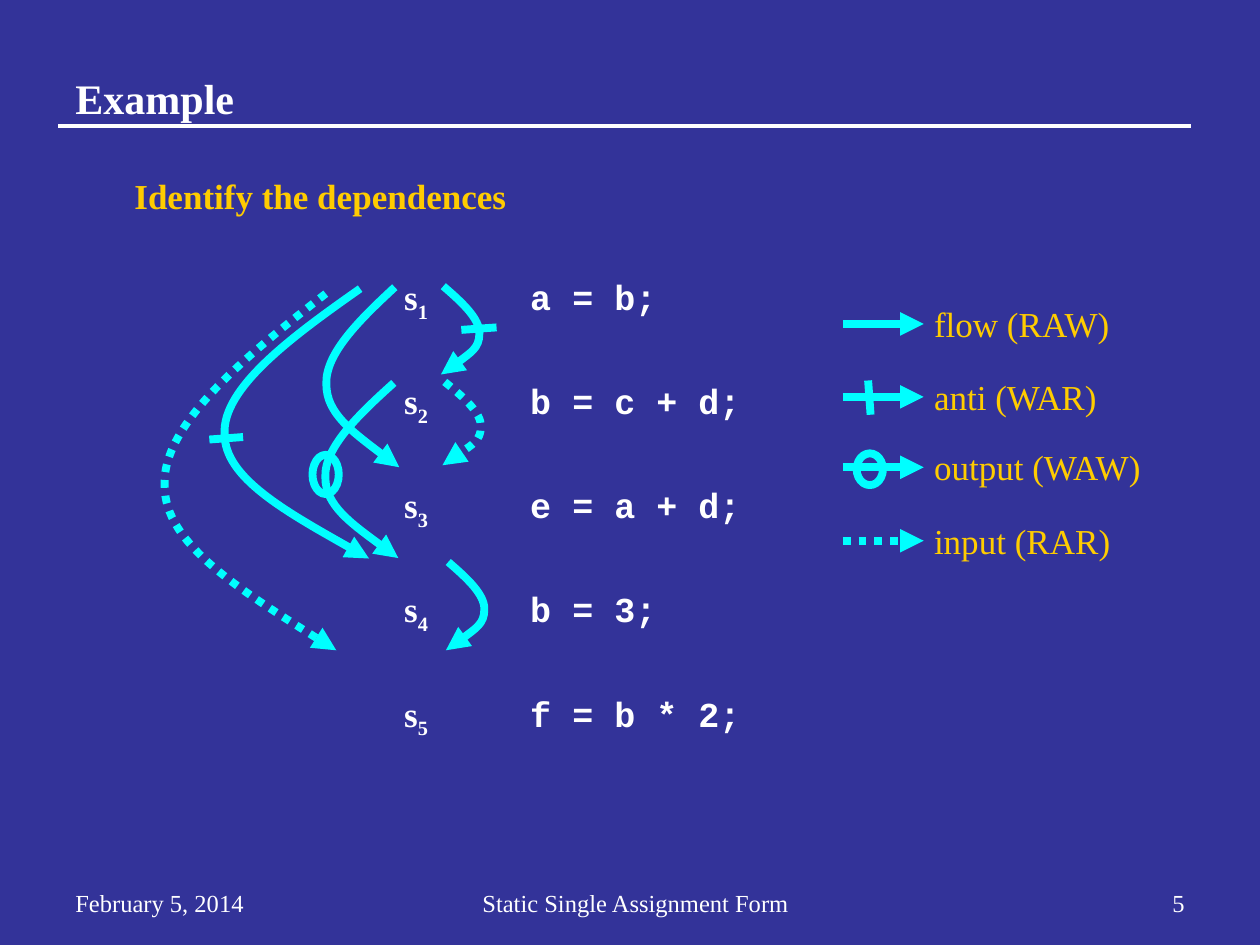
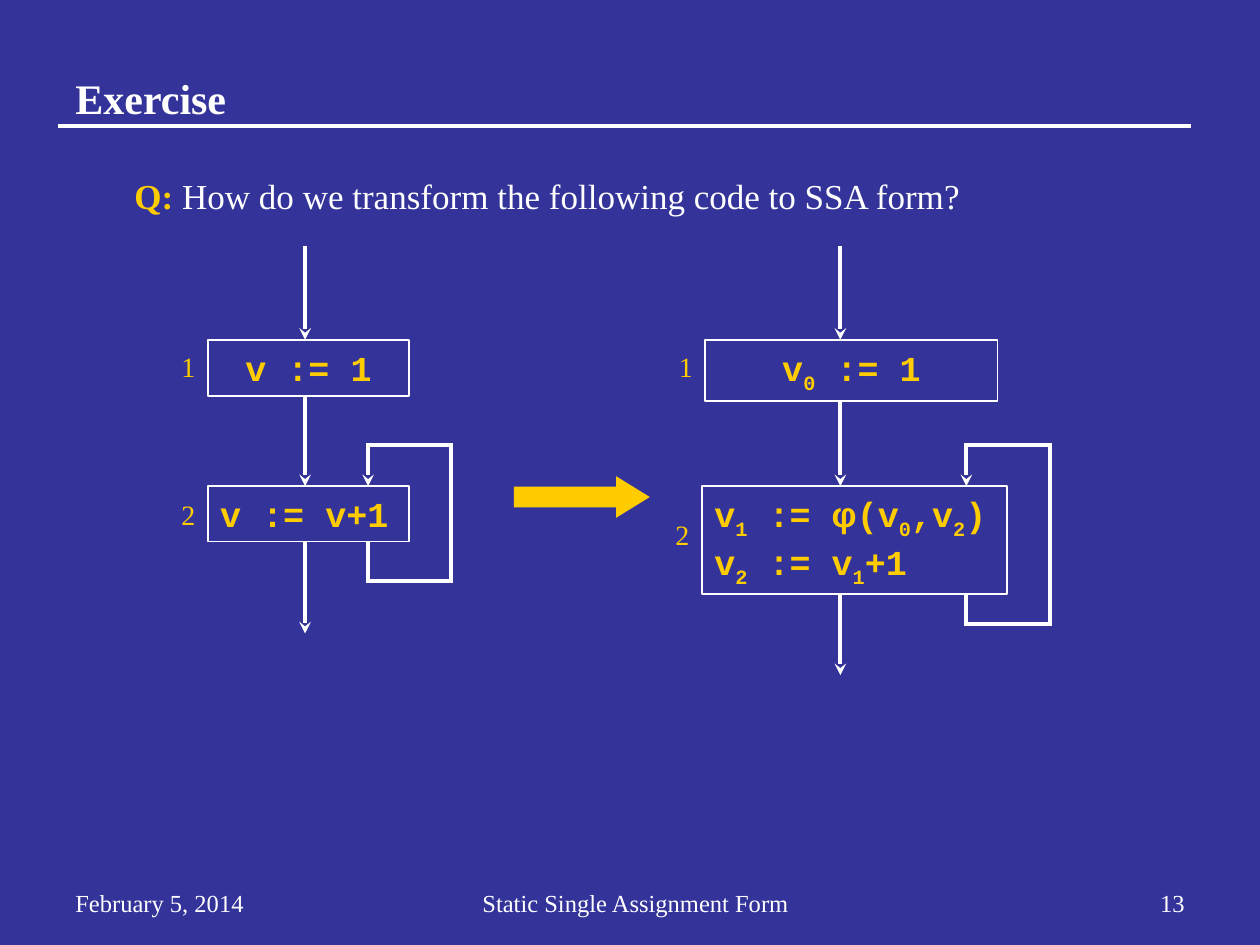
import pptx
import pptx.dml.color
import pptx.enum.dml
import pptx.enum.shapes
import pptx.enum.text
import pptx.oxml
import pptx.oxml.ns
import pptx.util
from lxml import etree

Cm = pptx.util.Cm
Pt = pptx.util.Pt
qn = pptx.oxml.ns.qn
Align = pptx.enum.text.PP_ALIGN
Shape = pptx.enum.shapes.MSO_SHAPE

COLORS = {"back": "333399", "white": "FFFFFF", "gold": "FFCC00", "cyan": "00FFFF"}
SERIF = "Times New Roman"
MONO = "Courier New"
FORMATS = {
    "title": {"name": SERIF, "size": Pt(24), "bold": True, "color": "white"},
    "footer": {"name": SERIF, "size": Pt(14), "bold": False, "color": "white"},
    "lead": {"name": SERIF, "size": Pt(20), "bold": True, "color": "gold"},
    "question": {"name": SERIF, "size": Pt(20), "bold": False, "color": "white"},
    "legend": {"name": SERIF, "size": Pt(20), "bold": False, "color": "gold"},
    "number": {"name": SERIF, "size": Pt(16), "bold": False, "color": "gold"},
    "statement": {"name": SERIF, "size": Pt(20), "bold": True, "color": "white"},
    "code": {"name": MONO, "size": Pt(20), "bold": True, "color": "white"},
    "block": {"name": MONO, "size": Pt(20), "bold": True, "color": "gold"},
    "greek": {"name": "Arial", "size": Pt(20), "bold": True, "color": "gold"},
}
STROKES = {
    "rule": {"color": "white", "width": 2},
    "border": {"color": "white", "width": 1},
    "edge": {"color": "white", "width": 2.25},
    "flow": {"color": "white", "width": 2.25, "tail": "stealth"},
    "mark": {"color": "cyan", "width": 4.5},
    "solid": {"color": "cyan", "width": 4.5, "tail": "triangle"},
    "dotted": {"color": "cyan", "width": 4.5, "tail": "triangle", "dash": True},
}
BEND = [(0.94, 0), (0.47, 0.18), (0, 0.37), (0.02, 0.54), (0.02, 0.7), (0.51, 0.85), (1, 1)]


def rgb(name):
    return pptx.dml.color.RGBColor.from_string(COLORS[name])


class Sketch:
    def __init__(self):
        self.deck = pptx.Presentation()
        self.deck.slide_width, self.deck.slide_height = Cm(25.4), Cm(19.05)
        fill = self.deck.slide_master.background.fill
        fill.solid()
        fill.fore_color.rgb = rgb("back")
        self.page = None

    def new_page(self, title, number):
        self.page = self.deck.slides.add_slide(self.deck.slide_layouts[5])
        box = self.page.shapes.title
        box.left, box.top, box.width, box.height = Cm(1.27), Cm(1.07), Cm(22.86), Cm(1.78)
        self.fill_frame(box, [[(title, "title")]], anchor="MIDDLE")
        self.line(1.17, 2.54, 24, 2.54, "rule")
        for left, width, text, align in (
            (1.27, 4.65, "February 5, 2014", Align.LEFT),
            (6.78, 12.07, "Static Single Assignment Form", Align.CENTER),
            (21.79, 2.34, str(number), Align.RIGHT),
        ):
            self.text(left, 17.78, width, 0.89, [[(text, "footer")]], align=align)

    def add_spans(self, para, text, style):
        first, *rest = text.split("_")
        pieces = [(first, False)]
        for part in rest:
            pieces += [(part[0], True), (part[1:], False)]
        for piece, lowered in pieces:
            if not piece:
                continue
            span = para.add_run()
            span.text = piece
            for key, value in FORMATS[style].items():
                if key == "color":
                    span.font.color.rgb = rgb(value)
                else:
                    setattr(span.font, key, value)
            if lowered:
                span._r.get_or_add_rPr().set("baseline", "-25000")

    def fill_frame(self, box, lines, align=Align.LEFT, anchor="TOP", wrap=True, before=0, pitch=None):
        frame = box.text_frame
        margins = {"margin_left": 0.25, "margin_right": 0.25, "margin_top": 0.13, "margin_bottom": 0.13}
        for key, value in margins.items():
            setattr(frame, key, Cm(value))
        frame.word_wrap = wrap
        frame.vertical_anchor = getattr(pptx.enum.text.MSO_ANCHOR, anchor)
        for index, spans in enumerate(lines):
            para = frame.add_paragraph() if index else frame.paragraphs[0]
            para.alignment = align
            para.space_before = Pt(before)
            if pitch:
                para.line_spacing = Pt(pitch)
            for text, style in spans:
                self.add_spans(para, text, style)

    def text(self, left, top, width, height, lines, **layout):
        box = self.page.shapes.add_textbox(Cm(left), Cm(top), Cm(width), Cm(height))
        self.fill_frame(box, lines, **layout)
        return box

    def stroke(self, line, color, width, tail=None, dash=False):
        line.color.rgb = rgb(color)
        line.width = Pt(width)
        if dash:
            line.dash_style = pptx.enum.dml.MSO_LINE.ROUND_DOT
        if tail:
            etree.SubElement(line._get_or_add_ln(), qn("a:tailEnd"), type=tail)

    def line(self, x1, y1, x2, y2, stroke):
        straight = pptx.enum.shapes.MSO_CONNECTOR.STRAIGHT
        connector = self.page.shapes.add_connector(straight, Cm(x1), Cm(y1), Cm(x2), Cm(y2))
        self.stroke(connector.line, **STROKES[stroke])
        etree.SubElement(connector._element.spPr, qn("a:effectLst"))

    def shape(self, kind, left, top, width, height, fill=None, stroke=None):
        shape = self.page.shapes.add_shape(kind, Cm(left), Cm(top), Cm(width), Cm(height))
        self.finish(shape, fill, stroke)
        return shape

    def finish(self, shape, fill, stroke):
        shape.shadow.inherit = False
        if fill:
            shape.fill.solid()
            shape.fill.fore_color.rgb = rgb(fill)
        else:
            shape.fill.background()
        if stroke:
            self.stroke(shape.line, **STROKES[stroke])
        else:
            shape.line.fill.background()

    def arc(self, left, top, width, height, stroke, mirrored=False):
        points = [
            (Cm(left + width * (1 - x if mirrored else x)), Cm(top + height * y)) for x, y in BEND
        ]
        builder = self.page.shapes.build_freeform(*points[0])
        builder.add_line_segments(points[1:], close=False)
        shape = builder.convert_to_shape()
        outline = shape._element.find(".//" + qn("a:path"))
        segments = outline.findall(qn("a:lnTo"))
        for start in (0, 3):
            curve = etree.SubElement(outline, qn("a:cubicBezTo"))
            for segment in segments[start:start + 3]:
                curve.append(segment[0])
                outline.remove(segment)
        self.finish(shape, None, stroke)

    def ring(self, left, top, width, height):
        self.shape(Shape.OVAL, left, top, width, height, stroke="mark")

    def block(self, left, top, width, height, lines, number, number_top, align):
        box = self.shape(Shape.RECTANGLE, left, top, width, height, "back", "border")
        self.fill_frame(box, lines, align=align)
        label = [[(str(number), "number")]]
        self.text(left - 0.79, number_top, 0.79, 0.94, label, align=Align.RIGHT, wrap=False)


def draw_example(sketch):
    sketch.new_page("Example", 5)
    sketch.text(2.46, 3.38, 21.67, 1.3, [[("Identify the dependences", "lead")]], before=5)

    statements = ["a = b;", "b = c + d;", "e = a + d;", "b = 3;", "f = b * 2;"]
    lines = [
        [(f"s_{index}\t", "statement"), (code, "code")]
        for index, code in enumerate(statements, 1)
    ]
    listing = sketch.text(7.9, 4.29, 8, 10.8, lines, pitch=59.5)
    for para in listing.text_frame.paragraphs:
        tabs = etree.SubElement(para._p.get_or_add_pPr(), qn("a:tabLst"))
        etree.SubElement(tabs, qn("a:tab"), pos=str(Cm(2.54)), algn="l")

    for left, top, width, height, stroke, mirrored in (
        (6.55, 5.79, 1.5, 3.63, "solid", False),
        (3.25, 5.92, 3.53, 7.19, "dotted", False),
        (8.99, 11.33, 0.79, 1.78, "solid", True),
        (8.89, 5.77, 0.79, 1.78, "solid", True),
        (6.53, 7.72, 1.5, 3.53, "solid", False),
        (4.47, 5.82, 2.97, 5.44, "solid", False),
        (8.92, 7.7, 0.79, 1.68, "dotted", True),
    ):
        sketch.arc(left, top, width, height, stroke, mirrored)
    sketch.line(9.3, 6.65, 10.01, 6.6, "mark")
    sketch.line(4.22, 8.86, 4.9, 8.81, "mark")
    sketch.ring(6.3, 9.17, 0.53, 0.79)

    for y, label, stroke in (
        (6.53, "flow (RAW)", "solid"),
        (8, "anti (WAR)", "solid"),
        (9.42, "output (WAW)", "solid"),
        (10.9, "input (RAR)", "dotted"),
    ):
        sketch.line(16.99, y, 18.62, y, stroke)
        sketch.text(18.58, y - 0.56, 4.8, 1.12, [[(label, "legend")]], before=5, wrap=False)
    sketch.line(17.55, 8.36, 17.5, 7.67, "mark")
    sketch.ring(17.27, 9.14, 0.53, 0.64)


def draw_flow(sketch, entry_x, loop_x, far_x, exit_y, loop_bottom, blocks):
    loop_top, arrow = 8.97, 1.9
    for top in (4.95, 7.9, exit_y):
        sketch.line(entry_x, top, entry_x, top + arrow, "flow")
    sketch.line(loop_x, exit_y, loop_x, loop_bottom, "edge")
    sketch.line(loop_x, loop_top, loop_x, 9.8, "flow")
    for y in (loop_top, loop_bottom):
        sketch.line(loop_x - 0.04, y, far_x + 0.04, y, "edge")
    sketch.line(far_x, loop_bottom, far_x, loop_top, "edge")
    for number, (block, align) in enumerate(zip(blocks, (Align.CENTER, Align.LEFT)), 1):
        sketch.block(**block, number=number, align=align)


def draw_exercise(sketch):
    sketch.new_page("Exercise", 13)
    question = [
        ("Q: ", "lead"),
        ("How do we transform the following code to SSA form?", "question"),
    ]
    sketch.text(2.46, 3.38, 21.67, 1.3, [question], before=5)
    plain_size = {"left": 4.19, "width": 4.06, "height": 1.12}
    draw_flow(sketch, 6.15, 7.42, 9.1, 10.87, 11.71, [
        {**plain_size, "top": 6.86, "number_top": 6.91, "lines": [[("v := 1", "block")]]},
        {**plain_size, "top": 9.8, "number_top": 9.91, "lines": [[("v := v+1", "block")]]},
    ])
    merge = [
        [("v_1 := ", "block"), ("φ", "greek"), ("(v_0,v_2)", "block")],
        [("v_2 := v_1+1", "block")],
    ]
    draw_flow(sketch, 16.94, 19.48, 21.17, 11.71, 12.57, [
        {"left": 14.22, "top": 6.86, "width": 5.89, "height": 1.22, "number_top": 6.91,
         "lines": [[("v_0 := 1", "block")]]},
        {"left": 14.15, "top": 9.8, "width": 6.15, "height": 2.18, "number_top": 10.31,
         "lines": merge},
    ])
    arrow = sketch.shape(Shape.RIGHT_ARROW, 10.36, 9.6, 2.74, 0.84, "gold")
    arrow.adjustments[0], arrow.adjustments[1] = 0.5, 0.81


def main():
    sketch = Sketch()
    draw_example(sketch)
    draw_exercise(sketch)
    sketch.deck.save("out.pptx")


if __name__ == "__main__":
    main()
